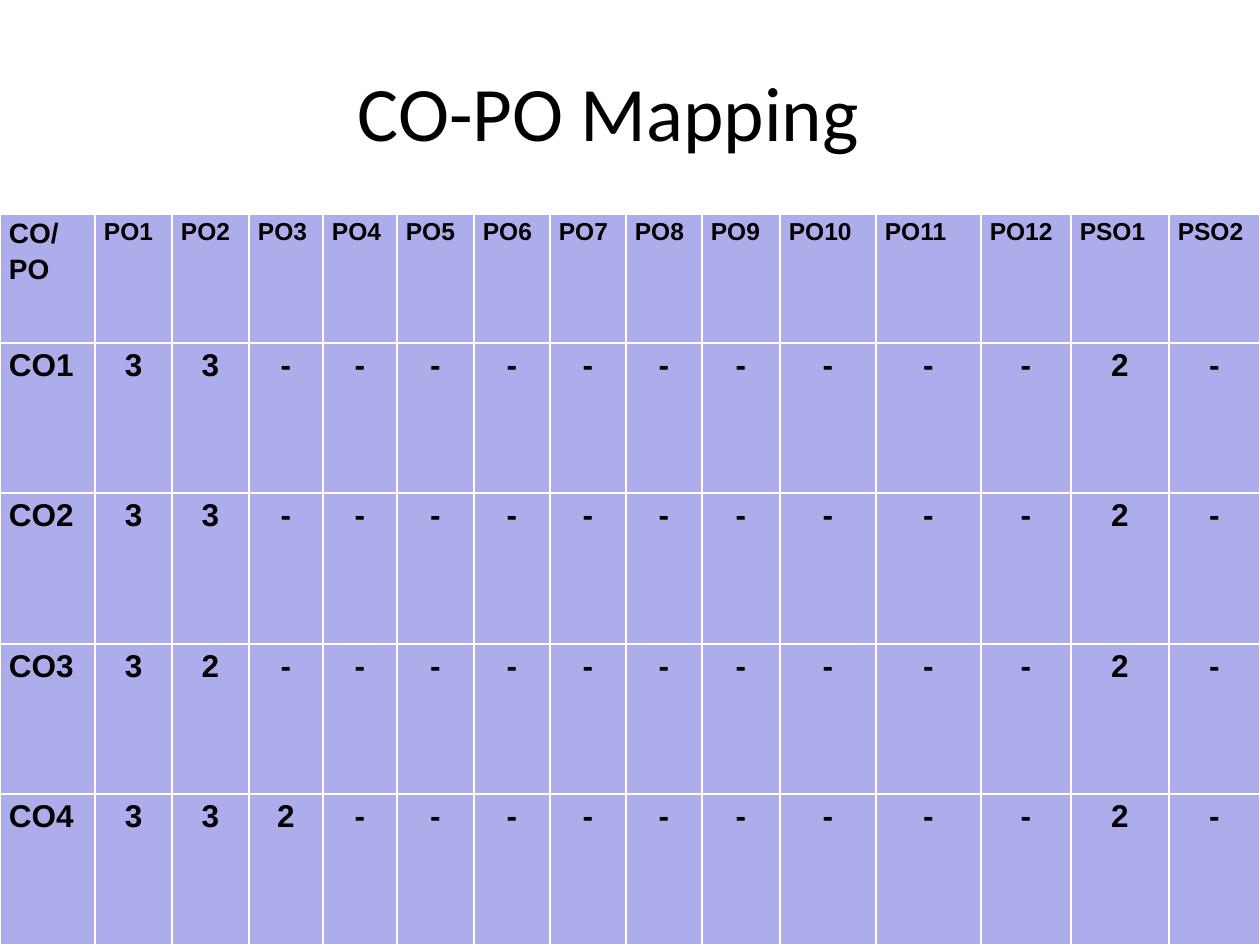
import lxml.etree
import pptx
import pptx.dml.color
import pptx.enum.text
import pptx.oxml.ns
import pptx.util

PX = 914400 // 126
COLORS = {"text": "000000", "cell": "ADADEB", "border": "FFFFFF"}
ALIGN = pptx.enum.text.PP_ALIGN


def write_text(frame, text, size, font="Arial", bold=False, align=ALIGN.LEFT, spacing=None):
    frame.word_wrap = True
    frame.text = text
    for paragraph in frame.paragraphs:
        paragraph.alignment = align
        paragraph.line_spacing = spacing
        paragraph.font.size = pptx.util.Pt(size)
        paragraph.font.name = font
        paragraph.font.bold = bold
        paragraph.font.color.rgb = pptx.dml.color.RGBColor.from_string(COLORS["text"])


def add_borders(cell, color, width):
    properties = cell._tc.get_or_add_tcPr()
    for side in ("a:lnL", "a:lnR", "a:lnT", "a:lnB"):
        line = lxml.etree.SubElement(properties, pptx.oxml.ns.qn(side), w=str(pptx.util.Pt(width)))
        fill = lxml.etree.SubElement(line, pptx.oxml.ns.qn("a:solidFill"))
        lxml.etree.SubElement(fill, pptx.oxml.ns.qn("a:srgbClr"), val=color)


presentation = pptx.Presentation()
presentation.slide_width = pptx.util.Inches(10)
presentation.slide_height = pptx.util.Inches(7.5)
slide = presentation.slides.add_slide(presentation.slide_layouts[6])

column_widths = [95, 77, 77, 74, 74, 77, 76, 76, 76, 78, 96, 105, 90, 98, 91]
row_heights = [129, 150, 151, 150, 151]
header = ["CO/\nPO"] + [f"PO{number}" for number in range(1, 13)] + ["PSO1", "PSO2"]
levels = {
    "CO1": "33----------2-",
    "CO2": "33----------2-",
    "CO3": "32----------2-",
    "CO4": "332---------2-",
}
rows = [header] + [[outcome, *values] for outcome, values in levels.items()]

table = slide.shapes.add_table(
    len(rows), len(header), 0, 214 * PX, sum(column_widths) * PX, sum(row_heights) * PX
).table
for column, width in zip(table.columns, column_widths):
    column.width = width * PX
for row, height in zip(table.rows, row_heights):
    row.height = height * PX

for row_index, row in enumerate(rows):
    for column_index, text in enumerate(row):
        cell = table.cell(row_index, column_index)
        cell.margin_left = cell.margin_right = 9 * PX
        cell.margin_top = cell.margin_bottom = 0
        add_borders(cell, COLORS["border"], 1)
        cell.fill.solid()
        cell.fill.fore_color.rgb = pptx.dml.color.RGBColor.from_string(COLORS["cell"])
        if row_index:
            size = 18
        else:
            size = 14 if column_index else 16
        align = ALIGN.CENTER if row_index and column_index else ALIGN.LEFT
        write_text(cell.text_frame, text, size, bold=True, align=align, spacing=1.15)

title = slide.shapes.add_textbox(73 * PX, 32 * PX, 1071 * PX, 158 * PX)
title.text_frame.vertical_anchor = pptx.enum.text.MSO_ANCHOR.MIDDLE
write_text(title.text_frame, "CO-PO Mapping", 44, font="Calibri", align=ALIGN.CENTER)

presentation.save("out.pptx")
